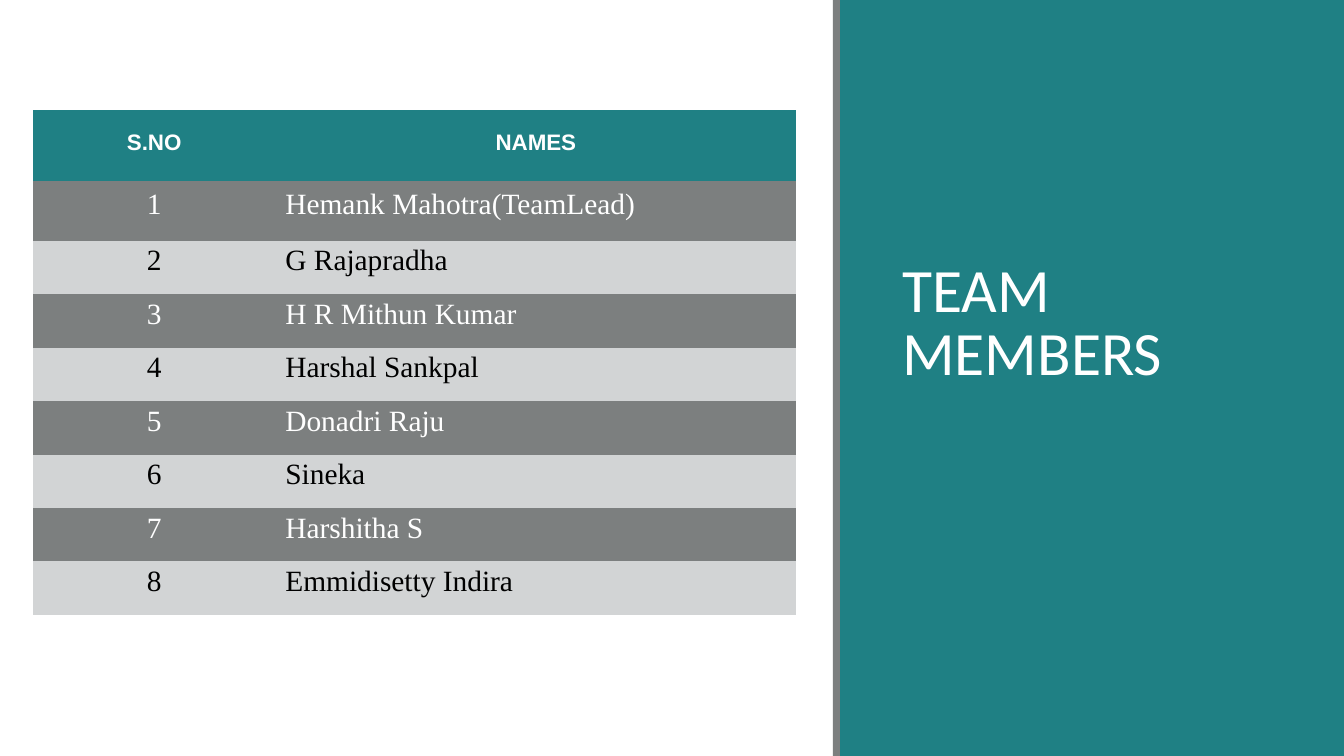
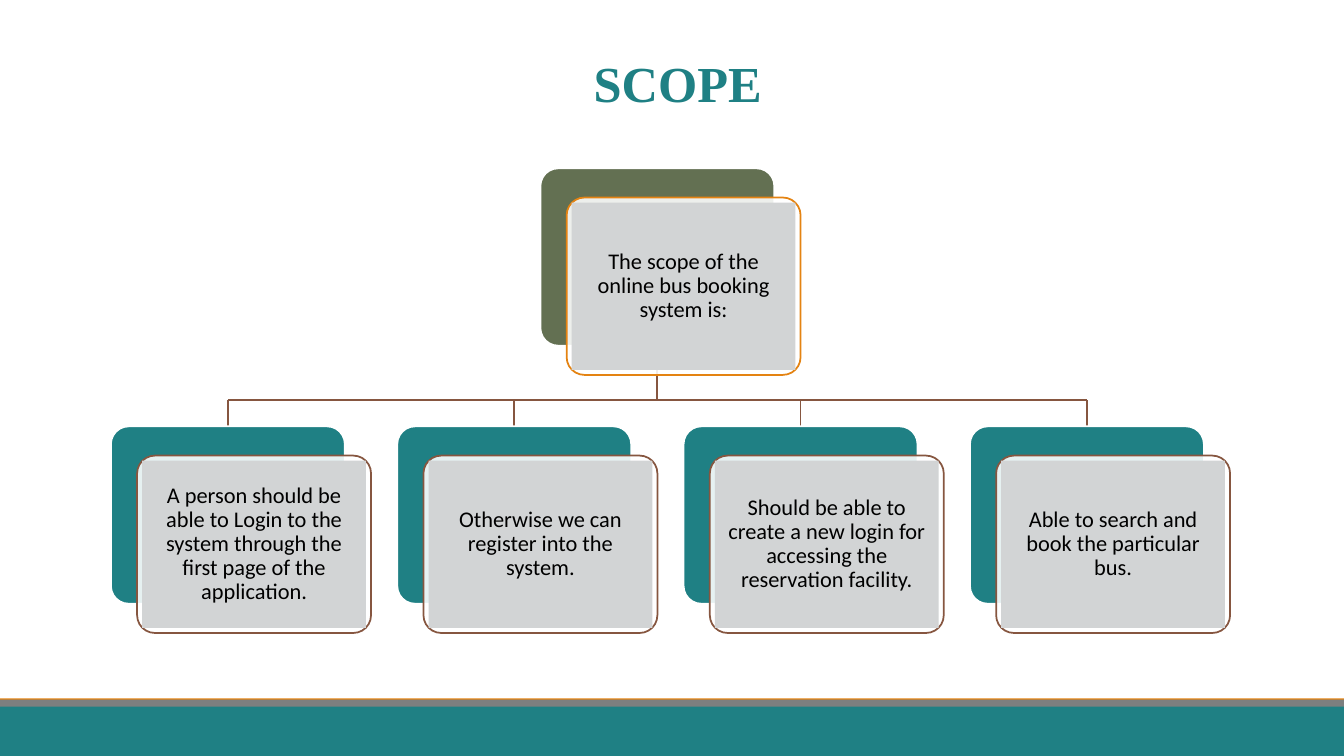
"""Builds the team members table slide and the scope hierarchy slide."""
from lxml.etree import SubElement
from pptx import Presentation
from pptx.dml.color import RGBColor
from pptx.enum.shapes import MSO_CONNECTOR, MSO_SHAPE
from pptx.enum.text import MSO_ANCHOR, PP_ALIGN
from pptx.oxml.ns import qn
from pptx.util import Inches, Pt

COLORS = {
    "teal": "1F8084", "gray": "7C7F7F", "light": "D2D4D5", "white": "FFFFFF",
    "black": "000000", "orange": "E48312", "brown": "865640", "olive": "637052",
}
SERIF = "Times New Roman"
SANS = "Calibri"
NO_TABLE_STYLE = "{2D5ABB26-0587-4C30-8999-92F81FD0307C}"
SLIDE_WIDTH, SLIDE_HEIGHT = 13.33, 7.5

HEADERS = ["S.NO", "NAMES"]
MEMBERS = [
    "Hemank Mahotra(TeamLead)", "G Rajapradha", "H R Mithun Kumar", "Harshal Sankpal",
    "Donadri Raju", "Sineka", "Harshitha S", "Emmidisetty Indira",
]
COLUMN_WIDTHS = [2.4, 5.17]
ROW_HEIGHTS = [0.71, 0.59] + [0.53] * (len(MEMBERS) - 1)

SCOPE_ROOT = "The scope of the online bus booking system is:"
SCOPE_ITEMS = [
    "A person should be able to Login to the system through the first page of the application.",
    "Otherwise we can register into the system.",
    "Should be able to create a new login for accessing the reservation facility.",
    "Able to search and book the particular bus.",
]
CARD_WIDTH, CARD_HEIGHT = 2.32, 1.76
CARD_OFFSET = (0.26, 0.29)
LABEL_INSET = 0.05
ROOT_TOP, ITEM_TOP, BRANCH_Y = 1.67, 4.23, 3.97
ITEM_LEFT, ITEM_PITCH = 1.1, 2.84


def color(name):
    return RGBColor.from_string(COLORS[name])


def add_block(slide, left, top, width, height, fill, line=None, kind=MSO_SHAPE.RECTANGLE):
    shape = slide.shapes.add_shape(kind, Inches(left), Inches(top), Inches(width), Inches(height))
    shape.shadow.inherit = False
    shape.fill.solid()
    shape.fill.fore_color.rgb = color(fill)
    if line:
        shape.line.color.rgb = color(line)
        shape.line.width = Pt(1.25)
    else:
        shape.line.fill.background()
    return shape


def write(text_frame, text, size, font, text_color, bold=False, align=PP_ALIGN.LEFT, spacing=None):
    paragraph = text_frame.paragraphs[0]
    paragraph.alignment = align
    if spacing:
        paragraph.line_spacing = spacing
    run = paragraph.add_run()
    run.text = text
    run.font.size = Pt(size)
    run.font.name = font
    run.font.bold = bold
    run.font.color.rgb = color(text_color)


def add_title(slide, text, left, top, width, height, **style):
    box = slide.shapes.add_textbox(Inches(left), Inches(top), Inches(width), Inches(height))
    box.text_frame.word_wrap = True
    box.text_frame.vertical_anchor = MSO_ANCHOR.BOTTOM
    write(box.text_frame, text, spacing=0.85, **style)


def fill_cell(cell, text, fill, margins, anchor, **style):
    cell.fill.solid()
    cell.fill.fore_color.rgb = color(fill)
    cell.margin_left, cell.margin_top, cell.margin_right, cell.margin_bottom = map(Inches, margins)
    cell.vertical_anchor = anchor
    write(cell.text_frame, text, **style)


def add_member_table(slide):
    frame = slide.shapes.add_table(
        len(ROW_HEIGHTS), len(HEADERS), Inches(0.33), Inches(1.09),
        Inches(sum(COLUMN_WIDTHS)), Inches(sum(ROW_HEIGHTS)))
    table = frame.table
    table._tbl.tblPr.find(qn("a:tableStyleId")).text = NO_TABLE_STYLE
    for column, width in zip(table.columns, COLUMN_WIDTHS):
        column.width = Inches(width)
    for row, height in zip(table.rows, ROW_HEIGHTS):
        row.height = Inches(height)
    for index, header in enumerate(HEADERS):
        fill_cell(table.cell(0, index), header, "teal", [0.2] * 4, MSO_ANCHOR.TOP,
                  size=16, font="Arial", text_color="white", bold=True, align=PP_ALIGN.CENTER)
    for number, name in enumerate(MEMBERS, start=1):
        fill, text_color = ("gray", "white") if number % 2 else ("light", "black")
        for index, (text, align) in enumerate([(str(number), PP_ALIGN.CENTER), (name, PP_ALIGN.LEFT)]):
            fill_cell(table.cell(number, index), text, fill, [0.1, 0, 0.1, 0.13], MSO_ANCHOR.MIDDLE,
                      size=21, font=SERIF, text_color=text_color, align=align)


def add_card(slide, text, left, top, back, outline):
    rounded = MSO_SHAPE.ROUNDED_RECTANGLE
    front_left, front_top = left + CARD_OFFSET[0], top + CARD_OFFSET[1]
    back_shape = add_block(slide, left, top, CARD_WIDTH, CARD_HEIGHT, back, "white", rounded)
    front_shape = add_block(slide, front_left, front_top, CARD_WIDTH, CARD_HEIGHT,
                            "white", outline, rounded)
    for shape in (back_shape, front_shape):
        shape.adjustments[0] = 0.1
    fill_color = front_shape._element.spPr.find(qn("a:solidFill"))[0]
    SubElement(fill_color, qn("a:alpha"), val="89000")
    label = add_block(slide, front_left + LABEL_INSET, front_top + LABEL_INSET,
                      CARD_WIDTH - 2 * LABEL_INSET, CARD_HEIGHT - 2 * LABEL_INSET, "light")
    text_frame = label.text_frame
    text_frame.word_wrap = True
    text_frame.vertical_anchor = MSO_ANCHOR.MIDDLE
    for side in ("left", "top", "right", "bottom"):
        setattr(text_frame, f"margin_{side}", Inches(0.07))
    write(text_frame, text, 16, SANS, "black", align=PP_ALIGN.CENTER, spacing=0.9)


def add_line(slide, start_x, start_y, end_x, end_y):
    connector = slide.shapes.add_connector(
        MSO_CONNECTOR.STRAIGHT, Inches(start_x), Inches(start_y), Inches(end_x), Inches(end_y))
    connector.line.color.rgb = color("brown")
    connector.line.width = Pt(1.25)
    SubElement(connector._element.spPr, qn("a:effectLst"))


def add_hierarchy(slide):
    lefts = [ITEM_LEFT + index * ITEM_PITCH for index in range(len(SCOPE_ITEMS))]
    centers = [left + CARD_WIDTH / 2 for left in lefts]
    root_center = (centers[0] + centers[-1]) / 2
    add_line(slide, root_center, ROOT_TOP + CARD_HEIGHT, root_center, BRANCH_Y)
    add_line(slide, centers[0], BRANCH_Y, centers[-1], BRANCH_Y)
    for center in centers:
        add_line(slide, center, BRANCH_Y, center, ITEM_TOP)
    add_card(slide, SCOPE_ROOT, root_center - CARD_WIDTH / 2, ROOT_TOP, "olive", "orange")
    for text, left in zip(SCOPE_ITEMS, lefts):
        add_card(slide, text, left, ITEM_TOP, "teal", "brown")


def build_team_slide(slide):
    add_block(slide, 8.33, 0, SLIDE_WIDTH - 8.33, SLIDE_HEIGHT, "teal")
    add_title(slide, "TEAM MEMBERS", 8.85, 0.7, 4, 3.2, size=44, font=SANS, text_color="white")
    add_block(slide, 8.26, 0, 0.07, SLIDE_HEIGHT, "gray")
    add_member_table(slide)


def build_scope_slide(slide):
    for top, height, fill in [(6.93, 0.07, "orange"), (7, 0.5, "teal"), (6.94, 0.07, "gray")]:
        add_block(slide, 0, top, SLIDE_WIDTH, height, fill)
    add_title(slide, "SCOPE", 5.79, 0.29, 2.57, 0.88,
              size=36, font=SERIF, text_color="teal", bold=True)
    add_hierarchy(slide)


def main():
    presentation = Presentation()
    presentation.slide_width = Inches(SLIDE_WIDTH)
    presentation.slide_height = Inches(SLIDE_HEIGHT)
    for build in (build_team_slide, build_scope_slide):
        build(presentation.slides.add_slide(presentation.slide_layouts[6]))
    presentation.save("out.pptx")


if __name__ == "__main__":
    main()
